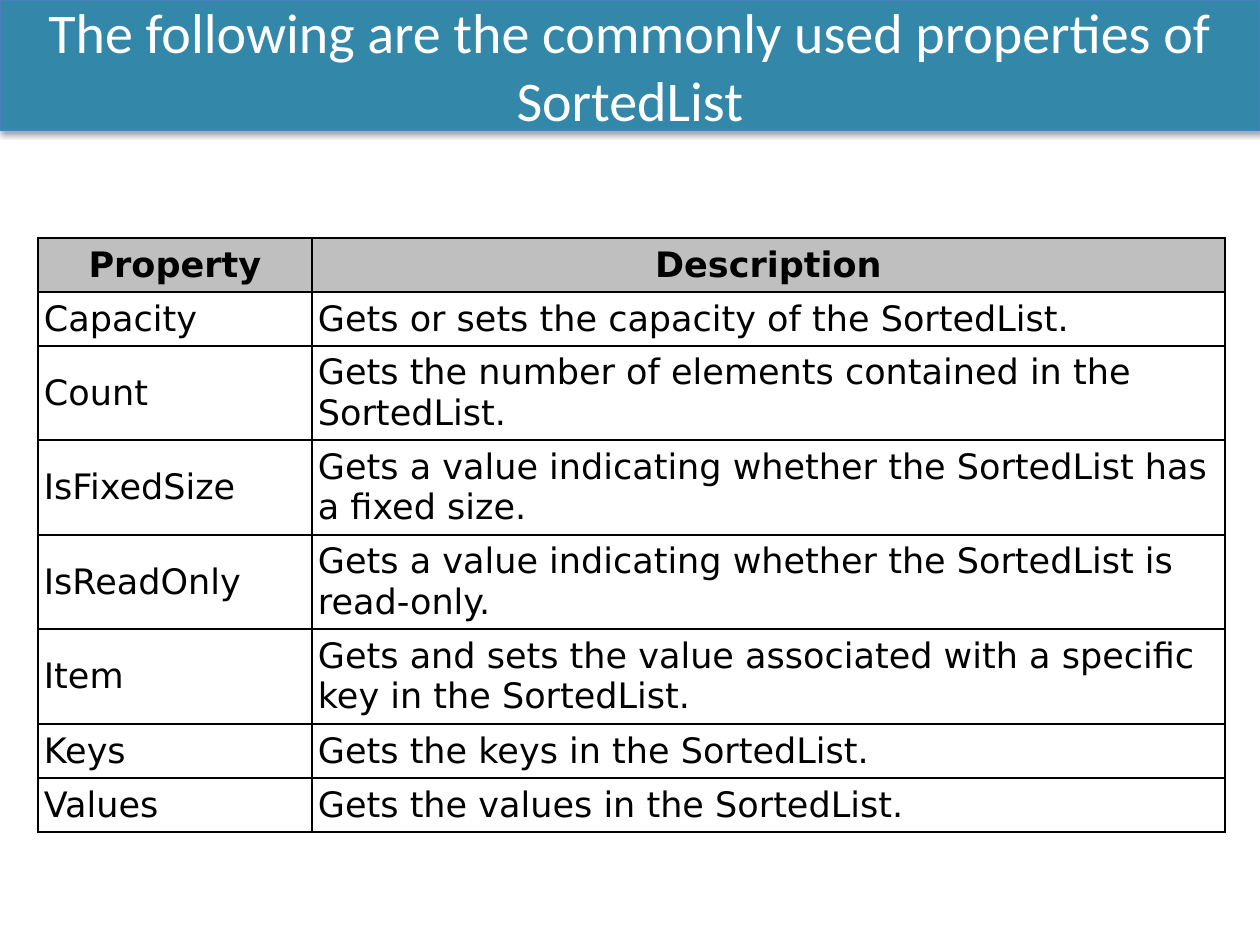
from lxml.etree import SubElement
from pptx import Presentation
from pptx.dml.color import RGBColor
from pptx.enum.shapes import MSO_SHAPE as Shape
from pptx.enum.text import MSO_ANCHOR as Anchor, PP_ALIGN as Align
from pptx.oxml.ns import qn
from pptx.util import Pt

EMU_PER_PX = 914400 // 126
SLIDE_W, SLIDE_H = 1260, 945

COLUMN_WIDTHS = (274, 913)
# Each row: height, property, description
PROPERTY_ROWS = [
    (54, "Property", "Description"),
    (54, "Capacity", "Gets or sets the capacity of the SortedList."),
    (94, "Count", "Gets the number of elements contained in the SortedList."),
    (95, "IsFixedSize", "Gets a value indicating whether the SortedList has a fixed size."),
    (94, "IsReadOnly", "Gets a value indicating whether the SortedList is read-only."),
    (95, "Item", "Gets and sets the value associated with a specific key in the SortedList."),
    (54, "Keys", "Gets the keys in the SortedList."),
    (54, "Values", "Gets the values in the SortedList."),
]


def px(length):
    return int(length * EMU_PER_PX)


def color(hex_string):
    return RGBColor.from_string(hex_string)


def write(frame, text, *, size, font, fill="000000", bold=False, align=Align.LEFT):
    frame.word_wrap = True
    paragraph = frame.paragraphs[0]
    paragraph.alignment = align
    run = paragraph.add_run()
    run.text = text
    run.font.size = Pt(size)
    run.font.name = font
    run.font.bold = bold
    run.font.color.rgb = color(fill)


def add_soft_shadow(shape):
    effects = SubElement(shape._element.spPr, qn("a:effectLst"))
    shadow = SubElement(effects, qn("a:outerShdw"), blurRad=str(Pt(3.1)),
                        dist=str(Pt(1.8)), dir="5400000", rotWithShape="0")
    black = SubElement(shadow, qn("a:srgbClr"), val="000000")
    SubElement(black, qn("a:alpha"), val="35000")


def add_borders(cell):
    properties = cell._tc.get_or_add_tcPr()
    for side in ("lnL", "lnR", "lnT", "lnB"):
        border = SubElement(properties, qn(f"a:{side}"), w=str(Pt(1)))
        solid = SubElement(border, qn("a:solidFill"))
        SubElement(solid, qn("a:srgbClr"), val="000000")


def title_banner(slide, left, top, width, height):
    banner = slide.shapes.add_shape(Shape.RECTANGLE, px(left), px(top), px(width), px(height))
    banner.fill.solid()
    banner.fill.fore_color.rgb = color("3388A9")
    banner.line.color.rgb = color("4B7EBC")
    banner.line.width = Pt(0.75)
    add_soft_shadow(banner)
    banner.text_frame.vertical_anchor = Anchor.MIDDLE
    write(banner.text_frame, "The following are the commonly used properties of SortedList",
          size=32, font="Calibri", fill="FFFFFF", align=Align.CENTER)


def fill_cell(cell, text, is_header):
    add_borders(cell)
    cell.margin_left = cell.margin_right = cell.margin_top = cell.margin_bottom = px(6)
    cell.vertical_anchor = Anchor.MIDDLE
    if is_header:
        cell.fill.solid()
        cell.fill.fore_color.rgb = color("BFBFBF")
    else:
        cell.fill.background()
    write(cell.text_frame, text, size=20, font="DejaVu Sans", bold=is_header,
          align=Align.CENTER if is_header else Align.LEFT)


def property_table(slide, left, top, width, height):
    table = slide.shapes.add_table(len(PROPERTY_ROWS), len(COLUMN_WIDTHS),
                                   px(left), px(top), px(width), px(height)).table
    table.horz_banding = False
    for column, column_width in zip(table.columns, COLUMN_WIDTHS):
        column.width = px(column_width)
    for index, (row_height, *texts) in enumerate(PROPERTY_ROWS):
        table.rows[index].height = px(row_height)
        for cell, text in zip(table.rows[index].cells, texts):
            fill_cell(cell, text, is_header=index == 0)


def main():
    deck = Presentation()
    deck.slide_width, deck.slide_height = px(SLIDE_W), px(SLIDE_H)
    slide = deck.slides.add_slide(deck.slide_layouts[6])

    # Table of properties
    property_table(slide, 38, 238, sum(COLUMN_WIDTHS), sum(row[0] for row in PROPERTY_ROWS))
    # Title across the top
    title_banner(slide, 0, 0, SLIDE_W, 130)

    deck.save("out.pptx")


if __name__ == "__main__":
    main()
